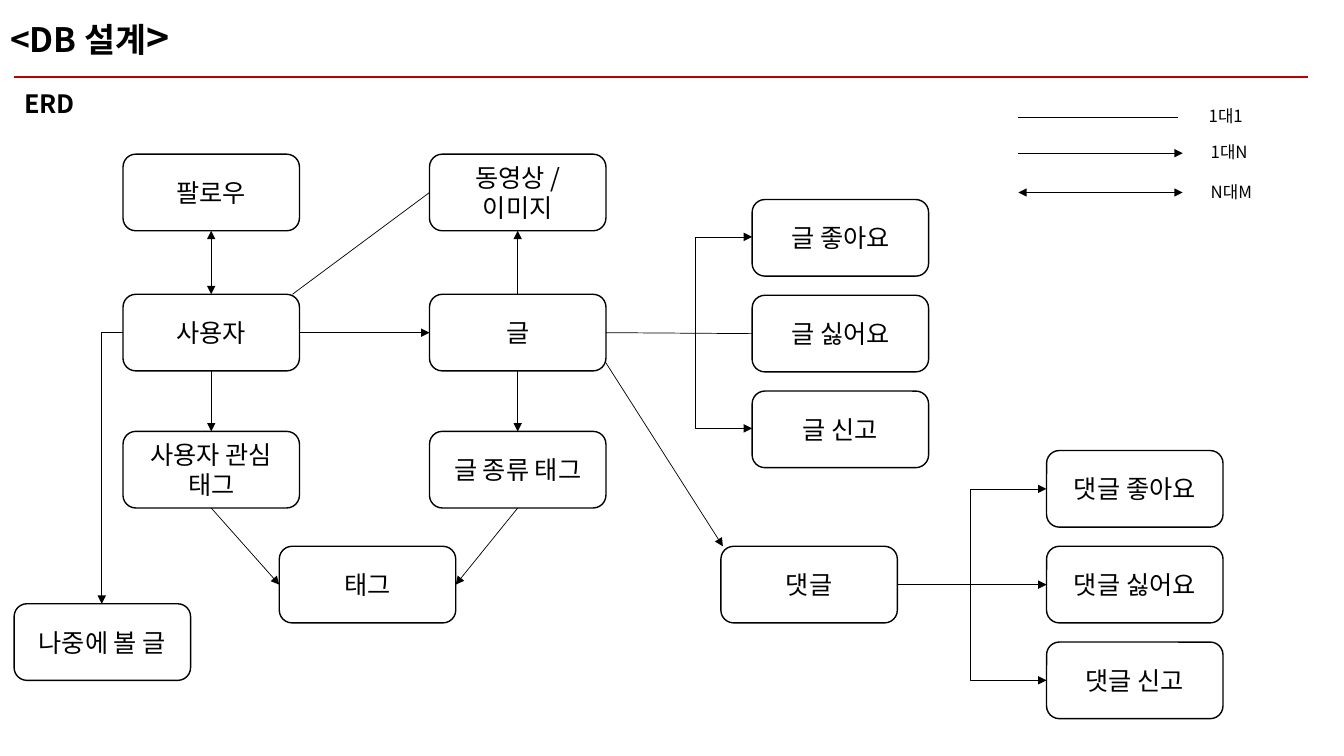
"""Builds the entity relation slide of the database design."""
from dataclasses import dataclass
from lxml.etree import SubElement
from pptx import Presentation
from pptx.dml.color import RGBColor
from pptx.enum.shapes import MSO_CONNECTOR, MSO_SHAPE
from pptx.enum.text import MSO_ANCHOR, MSO_AUTO_SIZE, PP_ALIGN
from pptx.oxml.ns import qn
from pptx.util import Inches, Pt

STRAIGHT, ELBOW = MSO_CONNECTOR.STRAIGHT, MSO_CONNECTOR.ELBOW
ROUND = MSO_SHAPE.ROUNDED_RECTANGLE
TOP, MIDDLE = MSO_ANCHOR.TOP, MSO_ANCHOR.MIDDLE
LEFT, CENTER = PP_ALIGN.LEFT, PP_ALIGN.CENTER
NO_FIT = MSO_AUTO_SIZE.NONE
NORTH, WEST, SOUTH, EAST = range(4)
HEAD, TAIL = "a:headEnd", "a:tailEnd"
BOTH = (HEAD, TAIL)


@dataclass(frozen=True)
class Theme:
    """Holds the font, colours, type sizes and line widths."""
    face: str = "Noto Sans CJK KR"
    ink: RGBColor = RGBColor(0, 0, 0)
    red: RGBColor = RGBColor(0xC0, 0, 0)
    title: int = 24
    mark: int = 28
    body: int = 18
    note: int = 12
    rule: float = 1.5
    edge: float = 1
    thin: float = 0.5


class Sheet:
    """Draws each kind of element on the current slide."""

    def __init__(self, slide, theme):
        """Keeps the slide and its theme."""
        self.slide, self.theme = slide, theme

    def style(self, frame, size, bold=False, align=LEFT, anchor=TOP):
        """Formats all paragraphs of a text frame."""
        frame.word_wrap = True
        frame.auto_size = NO_FIT
        frame.vertical_anchor = anchor
        for para in frame.paragraphs:
            para.alignment = align
            font = para.font
            font.name, font.size, font.bold = self.theme.face, Pt(size), bold
            font.color.rgb = self.theme.ink
            SubElement(font._element, qn("a:ea"), typeface=self.theme.face)

    def title(self, text, mark, x, y, w, h):
        """Fills the title and its larger closing mark."""
        shape = self.slide.shapes.title
        shape.left, shape.top = Inches(x), Inches(y)
        shape.width, shape.height = Inches(w), Inches(h)
        para = shape.text_frame.paragraphs[0]
        para.add_run().text = text
        last = para.add_run()
        last.text, last.font.size = mark, Pt(self.theme.mark)
        self.style(shape.text_frame, self.theme.title, True)

    def text(self, text, x, y, w, h, size, bold=False):
        """Adds a text box."""
        shape = self.slide.shapes.add_textbox(
            Inches(x), Inches(y), Inches(w), Inches(h))
        shape.text_frame.text = text
        self.style(shape.text_frame, size, bold)

    def box(self, text, x, y, w=1.75, h=0.76):
        """Adds a rounded entity box."""
        shape = self.slide.shapes.add_shape(
            ROUND, Inches(x), Inches(y), Inches(w), Inches(h))
        shape.shadow.inherit = False
        shape.fill.background()
        shape.line.color.rgb = self.theme.ink
        shape.line.width = Pt(self.theme.edge)
        shape.text_frame.text = text
        self.style(shape.text_frame, self.theme.body, False, CENTER, MIDDLE)
        return shape

    def line(self, start, end, ends=(), kind=STRAIGHT, color=None, width=None):
        """Adds a line with arrowheads at the given ends."""
        line = self.slide.shapes.add_connector(
            kind, *(Inches(value) for value in (*start, *end)))
        line.line.color.rgb = color or self.theme.ink
        line.line.width = Pt(width or self.theme.thin)
        props = line._element.spPr
        for tag in ends:
            SubElement(props.find(qn("a:ln")), qn(tag), type="triangle")
        SubElement(props, qn("a:effectLst"))
        return line

    def bend(self, start, end, ends):
        """Adds a line that runs across, then turns up or down."""
        line = self.line(start, end, ends, ELBOW)
        line._element.spPr.find(qn("a:prstGeom")).set("prst", "bentConnector2")

    def link(self, first, out, last, into, ends=(TAIL,)):
        """Joins two boxes side to side."""
        line = self.line((0, 0), (1, 1), ends)
        line.begin_connect(first, out)
        line.end_connect(last, into)


def main():
    """Builds and saves the slide."""
    deck = Presentation()
    deck.slide_width, deck.slide_height = Inches(13.33), Inches(7.5)
    theme = Theme()
    sheet = Sheet(deck.slides.add_slide(deck.slide_layouts[5]), theme)

    sheet.title("<DB 설계", ">", 0, 0.08, 12.9, 0.57)
    sheet.line((0.14, 0.76), (12.97, 0.76), color=theme.red, width=theme.rule)
    sheet.text("ERD", 0.14, 0.83, 13.1, 0.4, theme.body, True)

    legend = [("1대1", 11.89, 1.16, 11.68, ()),
              ("1대N", 11.91, 1.52, 11.73, (TAIL,)),
              ("N대M", 11.91, 1.91, 11.73, BOTH)]
    for label, left, y, end, ends in legend:
        sheet.line((10.1, y), (end, y), ends)
        sheet.text(label, left, y - 0.16, 0.67, 0.3, theme.note)

    follow, user, likes = [
        sheet.box(label, 1.22, y) for label, y in
        [("팔로우", 1.53), ("사용자", 2.92), ("사용자 관심 태그", 4.28)]]
    media, post, sort = [
        sheet.box(label, 4.26, y) for label, y in
        [("동영상 /\n이미지", 1.53), ("글", 2.92), ("글 종류 태그", 4.28)]]
    tag = sheet.box("태그", 2.77, 5.42)
    reply = sheet.box("댓글", 7.15, 5.42)
    sheet.box("나중에 볼 글", 0.14, 5.99)
    deeds = ["좋아요", "싫어요", "신고"]
    acts = [[sheet.box(f"{noun} {deed}", x, y + row * 0.95)
             for row, deed in enumerate(deeds)]
            for noun, x, y in [("글", 7.46, 1.98), ("댓글", 10.38, 4.47)]]

    sheet.link(follow, SOUTH, user, NORTH, BOTH)
    sheet.link(user, EAST, post, WEST)
    sheet.link(user, SOUTH, likes, NORTH)
    sheet.link(post, NORTH, media, SOUTH)
    sheet.link(post, SOUTH, sort, NORTH)
    sheet.link(likes, SOUTH, tag, WEST)
    sheet.link(sort, SOUTH, tag, EAST)
    sheet.link(post, EAST, acts[0][1], WEST, ())
    sheet.link(reply, EAST, acts[1][1], WEST)
    sheet.line((4.26, 1.91), (2.9, 2.92))
    sheet.line((6.01, 3.6), (7.17, 5.42), (TAIL,))

    sheet.bend((1.22, 3.3), (1.01, 5.99), (TAIL,))
    for x, turn, middle in [(7.46, 6.9, 3.3), (10.38, 9.62, 5.8)]:
        for step in (-0.95, 0.95):
            sheet.bend((x, middle + step), (turn, middle), (HEAD,))
    deck.save("out.pptx")


main()
